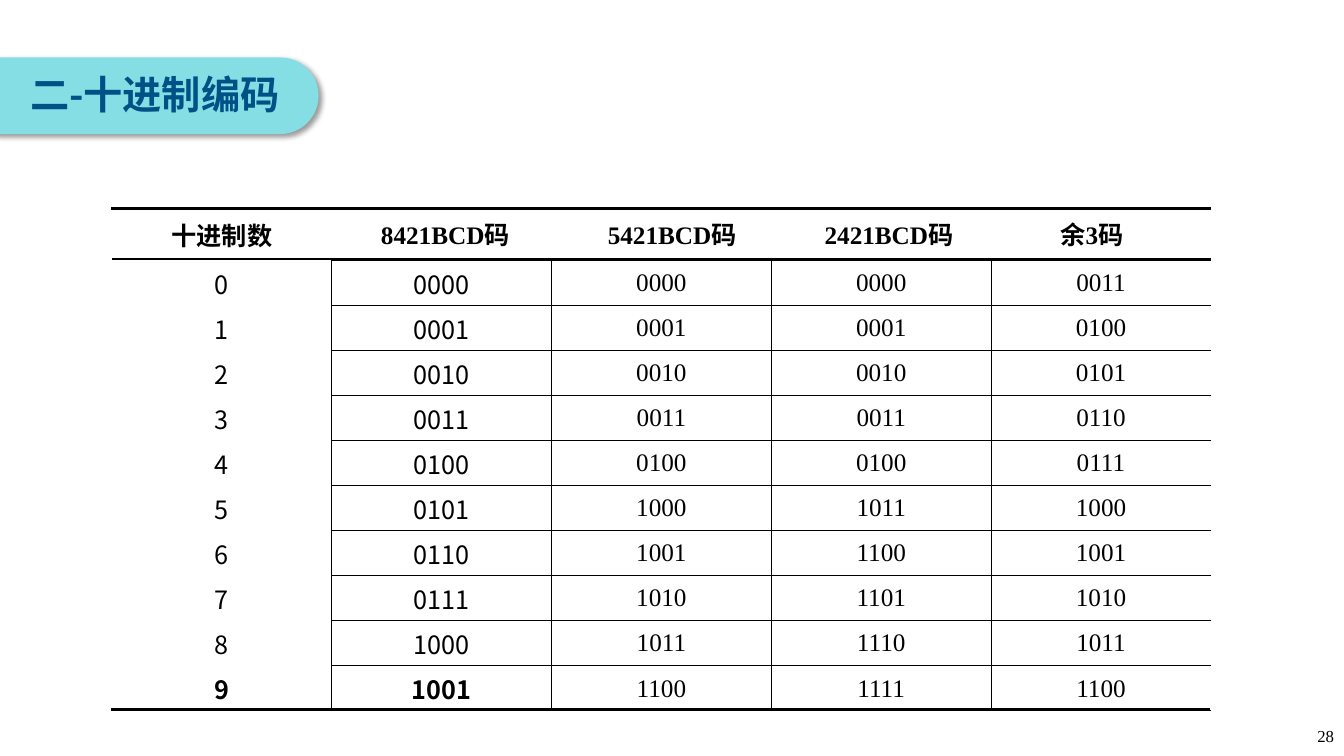
import pptx
import pptx.util
import pptx.dml.color
import pptx.enum.shapes
import pptx.enum.text
from lxml import etree

Inches, Pt = pptx.util.Inches, pptx.util.Pt
RGBColor = pptx.dml.color.RGBColor
PP_ALIGN = pptx.enum.text.PP_ALIGN
MIDDLE = pptx.enum.text.MSO_ANCHOR.MIDDLE

BLACK = RGBColor(0x00, 0x00, 0x00)
WHITE = RGBColor(0xFF, 0xFF, 0xFF)
AQUA = RGBColor(0x86, 0xDE, 0xE5)
NAVY = RGBColor(0x00, 0x52, 0x86)
SERIF, SANS = "Times New Roman", "Noto Sans CJK SC"
DRAWING = "http://schemas.openxmlformats.org/drawingml/2006/main"
EDGES = ("lnL", "lnR", "lnT", "lnB")

# Digit font, bordered edges, bold last row and codes of each column
CODE_COLUMNS = [
    (SANS, (), True, "0 1 2 3 4 5 6 7 8 9"),
    (SANS, EDGES, True, "0000 0001 0010 0011 0100 0101 0110 0111 1000 1001"),
    (SERIF, EDGES, False, "0000 0001 0010 0011 0100 1000 1001 1010 1011 1100"),
    (SERIF, EDGES, False, "0000 0001 0010 0011 0100 1011 1100 1101 1110 1111"),
    (SERIF, ("lnL", "lnT", "lnB"), False,
     "0011 0100 0101 0110 0111 1000 1001 1010 1011 1100"),
]
CODE_HEADINGS = ["8421BCD码", "5421BCD码", "2421BCD码", "余3码"]
HEADING_STOPS = [2.25, 4.4, 6.74]
COLUMN_WIDTH = 2.18


def add_run(frame, text, size, font, color, bold=False, align=PP_ALIGN.LEFT):
    paragraph = frame.paragraphs[0]
    paragraph.alignment = align
    run = paragraph.add_run()
    run.text = text
    run.font.size = Pt(size)
    run.font.name = font
    run.font.bold = bold
    run.font.color.rgb = color
    east_asian = etree.SubElement(run.font._element, f"{{{DRAWING}}}ea")
    east_asian.set("typeface", SANS)


def add_label(slide, box, *run, stops=(), **style):
    label = slide.shapes.add_textbox(*map(Inches, box)).text_frame
    label.word_wrap = True
    label.vertical_anchor = MIDDLE
    if stops:
        properties = label.paragraphs[0]._p.get_or_add_pPr()
        tabs = etree.SubElement(properties, f"{{{DRAWING}}}tabLst")
        for stop in stops:
            etree.SubElement(tabs, f"{{{DRAWING}}}tab", pos=str(Inches(stop)), algn="l")
    add_run(label, *run, **style)


def add_shadow(shape):
    effects = etree.SubElement(shape._element.spPr, f"{{{DRAWING}}}effectLst")
    shadow = etree.SubElement(
        effects, f"{{{DRAWING}}}outerShdw", blurRad=str(Pt(4)), dist=str(Pt(3)),
        dir=str(45 * 60000), algn="tl", rotWithShape="0")
    color = etree.SubElement(shadow, f"{{{DRAWING}}}srgbClr", val=str(BLACK))
    etree.SubElement(color, f"{{{DRAWING}}}alpha", val="40000")


def add_title(slide, box):
    left, top, width, height = box
    tab = slide.shapes.add_shape(
        pptx.enum.shapes.MSO_SHAPE.ROUNDED_RECTANGLE, *map(Inches, box))
    tab.adjustments[0] = 0.5
    tab.fill.solid()
    tab.fill.fore_color.rgb = AQUA
    tab.line.fill.background()
    add_shadow(tab)
    add_label(slide, (left + 0.58, top + 0.08, 6.46, height - 0.19),
              "二-十进制编码", 28, SANS, NAVY, bold=True)


def add_grid(slide, box, rows, columns):
    """Add a plain table of equal cells."""
    grid = slide.shapes.add_table(rows, columns, *map(Inches, box)).table
    grid.first_row = grid.horz_banding = False
    for column in grid.columns:
        column.width = Inches(box[2] / columns)
    for row in grid.rows:
        row.height = Inches(box[3] / rows)
    return grid


def format_cell(cell, edges, width, fill=None):
    cell.margin_left = cell.margin_right = cell.margin_top = Inches(0.01)
    cell.margin_bottom = 0
    cell.vertical_anchor = MIDDLE
    properties = cell._tc.get_or_add_tcPr()
    for edge in EDGES:
        border = etree.SubElement(properties, f"{{{DRAWING}}}{edge}")
        if edge in edges:
            border.set("w", str(Pt(width)))
            ink = etree.SubElement(border, f"{{{DRAWING}}}solidFill")
            etree.SubElement(ink, f"{{{DRAWING}}}srgbClr", val=str(BLACK))
        else:
            etree.SubElement(border, f"{{{DRAWING}}}noFill")
    if fill is None:
        cell.fill.background()
    else:
        cell.fill.solid()
        cell.fill.fore_color.rgb = fill


def add_ruled_band(slide, box, fill=None):
    """Add one table row with a rule above and below."""
    band = add_grid(slide, box, 1, len(CODE_COLUMNS))
    for cell in band.iter_cells():
        format_cell(cell, ("lnT", "lnB"), 2, fill)
    return band


def add_heading_band(slide, box):
    left, top, width, height = box
    band = add_ruled_band(slide, box, WHITE)
    add_run(band.cell(0, 0).text_frame, "十进制数", 18, SERIF, BLACK,
            bold=True, align=PP_ALIGN.CENTER)


def add_code_column(slide, box, columns, font, edges, bold_end, values):
    codes = values.split()
    grid = add_grid(slide, box, len(codes), columns)
    for row, code in enumerate(codes):
        cell = grid.cell(row, 0)
        format_cell(cell, edges, 1)
        add_run(cell.text_frame, code, 18, font, BLACK,
                bold=bold_end and row == len(codes) - 1, align=PP_ALIGN.CENTER)
        for spare in range(1, columns):
            format_cell(grid.cell(row, spare), (), 0)


def add_code_table(slide, box):
    left, top, width, height = box
    add_ruled_band(slide, box)
    add_heading_band(slide, (left + 0.01, top, width, 0.5))
    for index, column in enumerate(CODE_COLUMNS):
        # The last column carries an empty neighbour
        columns = 2 if index == len(CODE_COLUMNS) - 1 else 1
        add_code_column(
            slide, (left + 0.01 + index * COLUMN_WIDTH, top + 0.51,
                    columns * COLUMN_WIDTH, height - 0.5), columns, *column)
    add_label(slide, (left + 2.58, top + 0.06, 8.92, 0.4),
              "\t".join(CODE_HEADINGS), 18, SERIF, BLACK, bold=True,
              stops=HEADING_STOPS)


def main():
    deck = pptx.Presentation()
    deck.slide_width, deck.slide_height = Inches(13.33), Inches(7.5)
    slide = deck.slides.add_slide(deck.slide_layouts[6])
    # Table frame first, so that the title lies above it
    add_code_table(slide, (1.1, 2.07, 5 * COLUMN_WIDTH, 4.97))
    add_title(slide, (-0.38, 0.57, 3.54, 0.76))
    # Page number
    add_label(slide, (10.33, 7.1, 3, 0.4), "28", 12, SERIF, BLACK,
              align=PP_ALIGN.RIGHT)
    deck.save("out.pptx")


if __name__ == "__main__":
    main()
